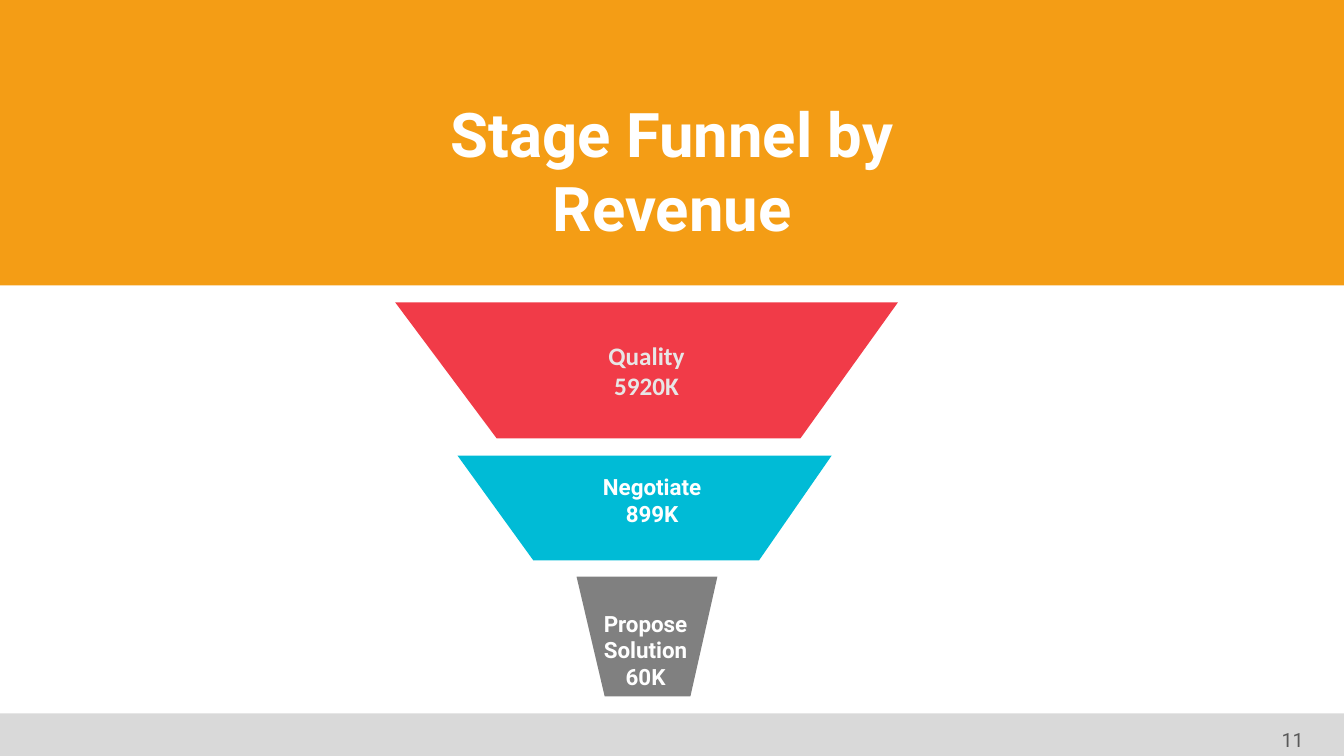
from dataclasses import dataclass
from typing import Optional

from pptx import Presentation
from pptx import util as u
from pptx.dml.color import RGBColor
from pptx.enum import shapes, text

ORANGE = RGBColor(0xF4, 0x9D, 0x15)
RED = RGBColor(0xF1, 0x3B, 0x48)
CYAN = RGBColor(0x00, 0xBB, 0xD6)
GREY = RGBColor(0x80, 0x80, 0x80)
FOOTER_GREY = RGBColor(0xD9, 0xD9, 0xD9)
PAGE_GREY = RGBColor(0x59, 0x59, 0x59)
PALE = RGBColor(0xE7, 0xE6, 0xE6)
WHITE = RGBColor(0xFF, 0xFF, 0xFF)

SLIDE_WIDTH, SLIDE_HEIGHT = 33.87, 19.05


@dataclass
class Box:
    """A rectangle in centimetres."""
    left: float
    top: float
    width: float
    height: float

    def emu(self) -> tuple:
        return tuple(u.Cm(v) for v in (self.left, self.top, self.width, self.height))


@dataclass
class Stage:
    """A funnel stage: its trapezoid in centimetres and its label."""
    lines: list
    fill: RGBColor
    top: float
    bottom: float
    upper_edge: tuple
    lower_edge: tuple
    label_box: Optional[Box] = None  # without one, the label sits in the trapezoid
    font: str = "Roboto"
    size: int = 16
    color: RGBColor = WHITE


STAGES = [
    Stage(["Quality", "5920K"], RED, 7.62, 11.05, (9.96, 22.63), (12.52, 20.17),
          font="Calibri", size=18, color=PALE),
    Stage(["Negotiate", "899K"], CYAN, 11.48, 14.12, (11.53, 20.96), (13.44, 19.13),
          label_box=Box(13.49, 11.81, 5.89, 1.88)),
    Stage(["Propose", "Solution", "60K"], GREY, 14.53, 17.55, (14.53, 18.08), (15.24, 17.4),
          label_box=Box(14.58, 15.24, 3.38, 2.31)),
]


def write(shape, lines: list, *, size: int, color: RGBColor, font: str = "Roboto",
          bold: bool = True, anchor=text.MSO_ANCHOR.TOP) -> None:
    frame = shape.text_frame
    frame.word_wrap = True
    frame.auto_size = text.MSO_AUTO_SIZE.NONE
    frame.vertical_anchor = anchor
    frame.text = "\n".join(lines)
    for paragraph in frame.paragraphs:
        paragraph.alignment = text.PP_ALIGN.CENTER
        run_font = paragraph.runs[0].font
        run_font.name, run_font.size, run_font.bold = font, u.Pt(size), bold
        run_font.color.rgb = color


def paint(shape, color: RGBColor):
    shape.shadow.inherit = False
    shape.fill.solid()
    shape.fill.fore_color.rgb = color
    shape.line.fill.background()
    return shape


def add_band(slide, box: Box, color: RGBColor):
    return paint(slide.shapes.add_shape(shapes.MSO_SHAPE.RECTANGLE, *box.emu()), color)


def add_stage(slide, stage: Stage) -> None:
    (upper_left, upper_right), (lower_left, lower_right) = stage.upper_edge, stage.lower_edge
    corners = [(upper_left, stage.top), (upper_right, stage.top),
               (lower_right, stage.bottom), (lower_left, stage.bottom)]
    points = [(u.Cm(x), u.Cm(y)) for x, y in corners]
    builder = slide.shapes.build_freeform(*points[0])
    builder.add_line_segments(points[1:], close=True)
    label = paint(builder.convert_to_shape(), stage.fill)
    anchor = text.MSO_ANCHOR.MIDDLE
    if stage.label_box:
        label = slide.shapes.add_textbox(*stage.label_box.emu())
        anchor = text.MSO_ANCHOR.TOP
    write(label, stage.lines, size=stage.size, color=stage.color, font=stage.font, anchor=anchor)


def main() -> None:
    deck = Presentation()
    deck.slide_width, deck.slide_height = u.Cm(SLIDE_WIDTH), u.Cm(SLIDE_HEIGHT)
    slide = deck.slides.add_slide(deck.slide_layouts[5])

    # Header band behind the title
    header = add_band(slide, Box(0, 0, SLIDE_WIDTH, 7.19), ORANGE)
    title = slide.shapes.title
    title.element.addprevious(header.element)
    title.left, title.top, title.width, title.height = Box(8.56, 2.29, 16.76, 2.13).emu()
    write(title, ["Stage Funnel by Revenue"], size=44, color=WHITE)

    # Footer band and page number
    add_band(slide, Box(0, 17.98, SLIDE_WIDTH, 1.07), FOOTER_GREY)
    page_number = slide.shapes.add_textbox(*Box(31.8, 18.21, 1.55, 0.86).emu())
    write(page_number, ["11"], size=14, color=PAGE_GREY, bold=False)

    # Funnel
    for stage in STAGES:
        add_stage(slide, stage)

    deck.save("out.pptx")


if __name__ == "__main__":
    main()
